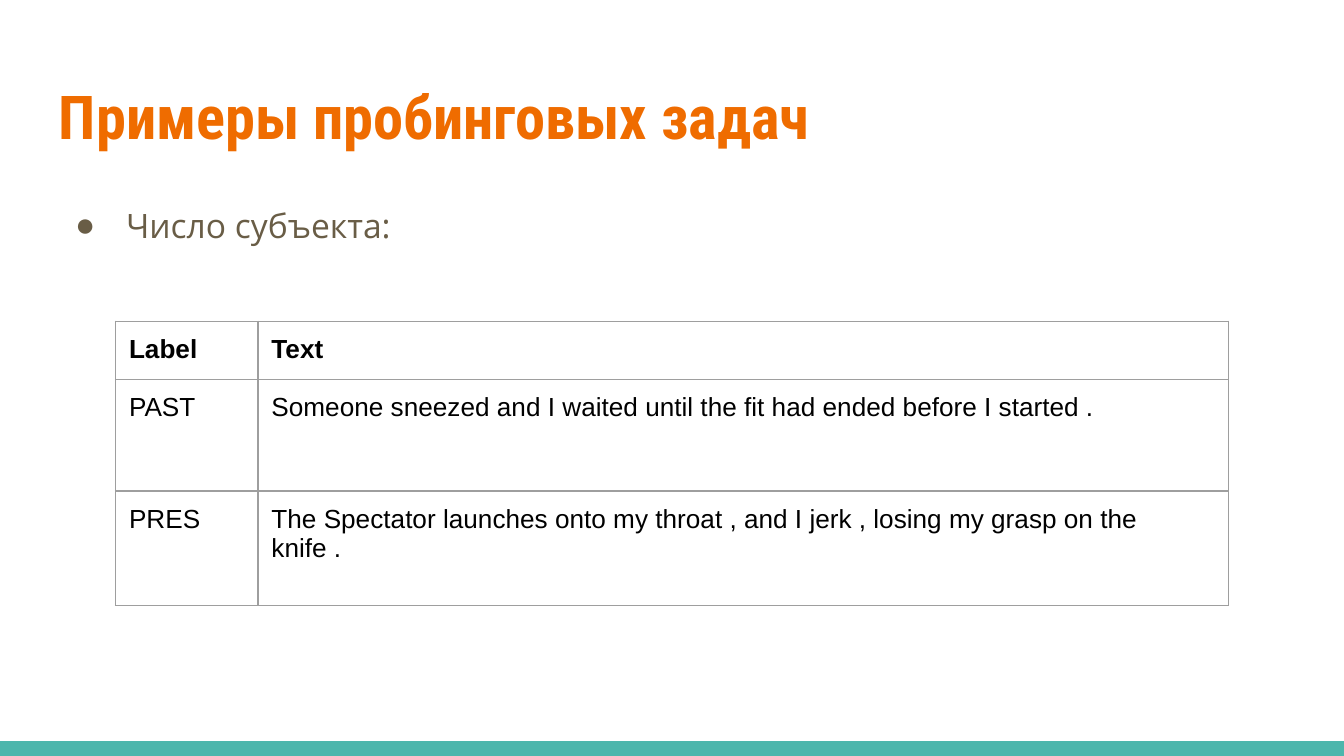
from lxml.etree import SubElement
from pptx import Presentation
from pptx.dml.color import RGBColor
from pptx.enum.shapes import MSO_SHAPE
from pptx.oxml.ns import qn
from pptx.util import Inches, Pt

COLORS = {"title": "EF6C00", "body": "695D46", "band": "4DB6AC",
          "cell": "000000", "border": "9E9E9E"}

prs = Presentation()
prs.slide_width = Inches(10)
prs.slide_height = prs.slide_width * 9 // 16
slide = prs.slides.add_slide(prs.slide_layouts[6])


def write(frame, text, *, size, font, color, bold=False, spacing=1.0, bullet=None):
    frame.word_wrap = True
    paragraph = frame.paragraphs[0]
    paragraph.line_spacing = spacing
    if bullet:
        props = paragraph._p.get_or_add_pPr()
        props.set("marL", str(Inches(0.5)))
        props.set("indent", str(Inches(-0.38)))
        bullet_color = SubElement(props, qn("a:buClr"))
        SubElement(bullet_color, qn("a:srgbClr"), val=COLORS[color])
        SubElement(props, qn("a:buFont"), typeface="Arial")
        SubElement(props, qn("a:buChar"), char=bullet)
    run = paragraph.add_run()
    run.text = text
    run.font.size, run.font.name, run.font.bold = Pt(size), font, bold
    run.font.color.rgb = RGBColor.from_string(COLORS[color])


def outline(cell):
    """Draw a thin line on all four sides of a table cell."""
    props = cell._tc.get_or_add_tcPr()
    for position, side in enumerate(("a:lnL", "a:lnR", "a:lnT", "a:lnB")):
        line = props.makeelement(qn(side), {"w": str(Pt(0.75))})
        fill = SubElement(line, qn("a:solidFill"))
        SubElement(fill, qn("a:srgbClr"), val=COLORS["border"])
        props.insert(position, line)


band_height = Inches(0.11)
band = slide.shapes.add_shape(MSO_SHAPE.RECTANGLE, 0, prs.slide_height - band_height,
                              prs.slide_width, band_height)
band.shadow.inherit = False
band.fill.solid()
band.fill.fore_color.rgb = RGBColor.from_string(COLORS["band"])
band.line.fill.background()

margin = Inches(0.34)
content_width = prs.slide_width - 2 * margin
texts = [
    (0.49, 0.77, "Примеры пробинговых задач",
     dict(size=32.4, font="Roboto Condensed", color="title", bold=True)),
    (1.38, 3.61, "Число субъекта:",
     dict(size=18, font="Open Sans", color="body", spacing=1.15, bullet="●")),
]
for top, height, text, style in texts:
    frame = slide.shapes.add_textbox(margin, Inches(top), content_width,
                                     Inches(height)).text_frame
    frame.margin_left = frame.margin_right = Inches(0.1)
    frame.margin_top = frame.margin_bottom = Inches(0.1)
    write(frame, text, **style)

examples = [
    ("Label", "Text"),
    ("PAST", "Someone sneezed and I waited until the fit had ended before I started ."),
    ("PRES", "The Spectator launches onto my throat , and I jerk , "
             "losing my grasp on the knife ."),
]
column_widths = [1.06, 7.22]
row_heights = [0.4, 0.83, 0.85]
table = slide.shapes.add_table(
    len(row_heights), len(column_widths), Inches(0.86), Inches(2.39),
    Inches(sum(column_widths)), Inches(sum(row_heights))).table
table.horz_banding = False
for column, width in zip(table.columns, column_widths):
    column.width = Inches(width)
for row, height, example in zip(table.rows, row_heights, examples):
    row.height = Inches(height)
    for cell, text in zip(row.cells, example):
        cell.fill.background()
        cell.margin_left = cell.margin_right = Inches(0.1)
        cell.margin_top = cell.margin_bottom = Inches(0.1)
        outline(cell)
        write(cell.text_frame, text, size=14, font="Arial", color="cell",
              bold=example is examples[0])

prs.save("out.pptx")
